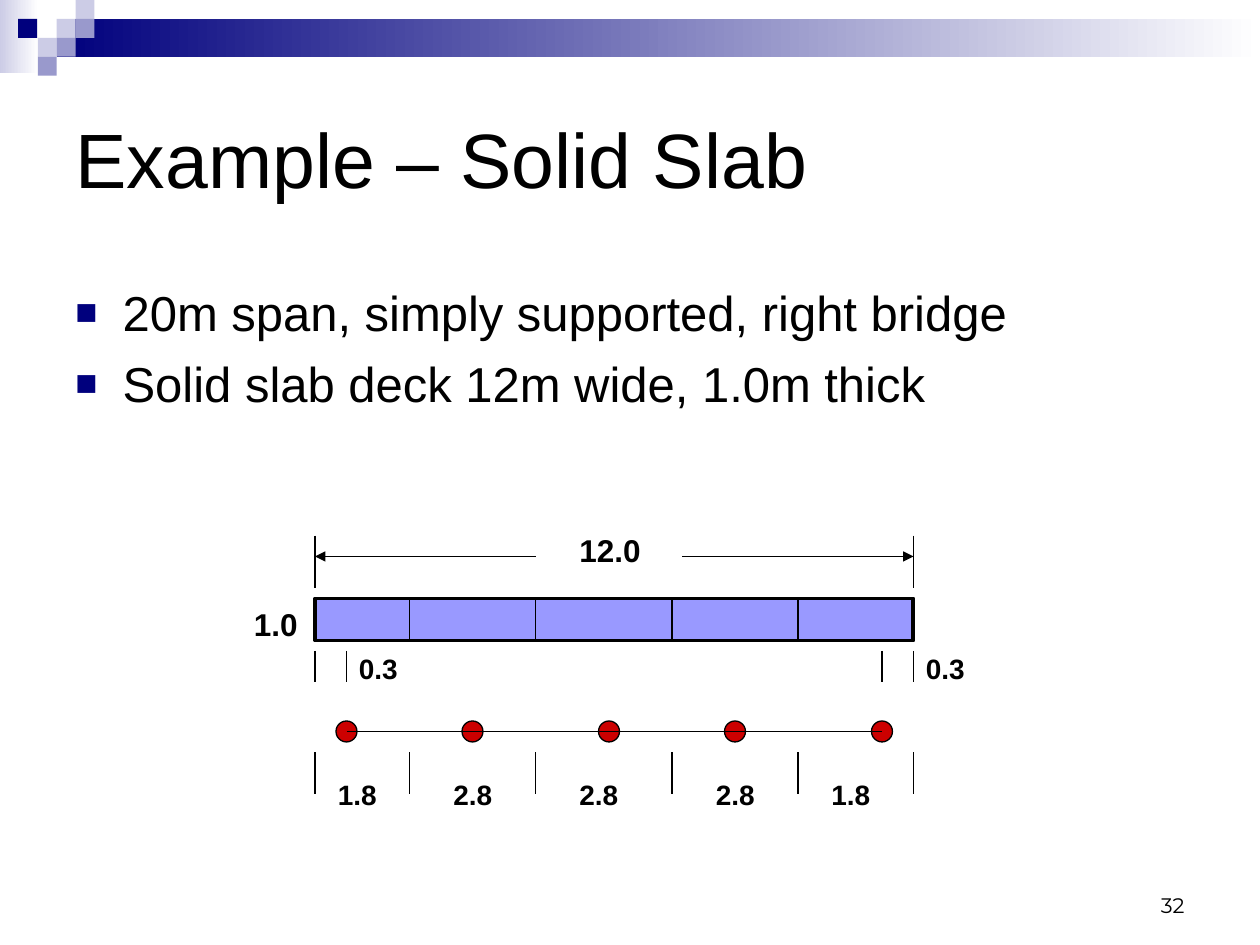
from pptx import Presentation
from pptx.dml.color import RGBColor
from pptx.enum.shapes import MSO_CONNECTOR, MSO_SHAPE
from pptx.enum.text import MSO_ANCHOR, PP_ALIGN
from pptx.oxml.ns import qn
from pptx.util import Pt

STRAIGHT = MSO_CONNECTOR.STRAIGHT
RECTANGLE, OVAL = MSO_SHAPE.RECTANGLE, MSO_SHAPE.OVAL
TOP, MIDDLE, BOTTOM = MSO_ANCHOR.TOP, MSO_ANCHOR.MIDDLE, MSO_ANCHOR.BOTTOM
LEFT, RIGHT = PP_ALIGN.LEFT, PP_ALIGN.RIGHT

BLACK, WHITE, NAVY = "000000", "FFFFFF", "00007D"
PALE, MID, SLAB, BEAM = "CCCCE6", "9999CC", "9999FF", "CC0000"

TITLE = {"name": "Arial", "size": Pt(44), "bold": False}
BODY = {"name": "Arial", "size": Pt(28), "bold": False}
LARGE_LABEL = {"name": "Arial", "size": Pt(18), "bold": True}
SMALL_LABEL = {"name": "Arial", "size": Pt(16), "bold": True}
NUMBER = {"name": "Montserrat", "size": Pt(12), "bold": False}

UNIT = 10.8
SQUARES = [(32.4, 1, PALE), (43.2, 0, PALE), (43.2, 1, MID), (21.6, 2, PALE),
           (10.4, 1, NAVY), (32.4, 2, MID), (21.6, 3, MID)]
STRIP_EDGES = [180, 234, 306, 384, 456, 522]
BEAM_CENTRES = [198, 270, 348, 420, 504]
STRIP_LABELS = [(186, "1.8"), (252, "2.8"), (324, "2.8"), (402, "2.8"), (468, "1.8")]
BEAM_SIZE = 12


def color(value):
    return RGBColor.from_string(value)


def add_shape(page, kind, area, fill, line_width=0):
    shape = page.shapes.add_shape(kind, *map(Pt, area))
    shape.shadow.inherit = False
    if isinstance(fill, tuple):
        shape.fill.gradient()
        shape.fill.gradient_angle = 0
        for stop, value in zip(shape.fill.gradient_stops, fill):
            stop.color.rgb = color(value)
    else:
        shape.fill.solid()
        shape.fill.fore_color.rgb = color(fill)
    if line_width:
        shape.line.color.rgb = color(BLACK)
        shape.line.width = Pt(line_width)
    else:
        shape.line.fill.background()


def add_line(page, start, end, arrow=False):
    line = page.shapes.add_connector(STRAIGHT, *map(Pt, start + end))
    line.line.color.rgb = color(BLACK)
    line.line.width = Pt(0.75)
    properties = line._element.spPr
    if arrow:
        outline = properties.find(qn("a:ln"))
        tail = outline.makeelement(qn("a:tailEnd"), {"type": "triangle"})
        outline.append(tail)
    properties.append(properties.makeelement(qn("a:effectLst"), {}))


def add_ticks(page, positions, top, bottom):
    for x in positions:
        add_line(page, (x, top), (x, bottom))


def write_text(box, lines, style, anchor=TOP, align=LEFT):
    frame = box.text_frame
    frame.word_wrap = True
    frame.vertical_anchor = anchor
    frame.text = "\n".join(lines)
    for para in frame.paragraphs:
        para.alignment = align
        for span in para.runs:
            span.font.color.rgb = color(BLACK)
            for name, value in style.items():
                setattr(span.font, name, value)
    return frame


def add_text(page, area, lines, style, **layout):
    box = page.shapes.add_textbox(*map(Pt, area))
    return write_text(box, lines, style, **layout)


def add_bullet(para):
    properties = para._p.get_or_add_pPr()
    properties.set("marL", str(Pt(27)))
    properties.set("indent", str(-Pt(27)))
    tint = properties.makeelement(qn("a:buClr"), {})
    tint.append(tint.makeelement(qn("a:srgbClr"), {"val": NAVY}))
    properties.append(tint)
    for tag, attributes in [("a:buSzPct", {"val": "75000"}),
                            ("a:buFont", {"typeface": "Arial"}),
                            ("a:buChar", {"char": "■"})]:
        properties.append(properties.makeelement(qn(tag), attributes))


def add_banner(page):
    add_shape(page, RECTANGLE, (0, 0, 22, 42), (PALE, WHITE))
    add_shape(page, RECTANGLE, (32.4, UNIT, 687.6, 2 * UNIT), (NAVY, WHITE))
    for x, row, fill in SQUARES:
        add_shape(page, RECTANGLE, (x, row * UNIT, UNIT, UNIT), fill)


def add_title(page, text):
    title = page.shapes.title
    area = {"left": 36, "top": 36, "width": 648, "height": 108}
    for name, value in area.items():
        setattr(title, name, Pt(value))
    write_text(title, [text], TITLE, anchor=MIDDLE)


def add_bullets(page, lines):
    frame = add_text(page, (36, 158, 648, 147), lines, BODY)
    for index, para in enumerate(frame.paragraphs):
        add_bullet(para)
        if index:
            para.space_before = Pt(7)


def add_slab(page):
    left, right = STRIP_EDGES[0], STRIP_EDGES[-1]
    add_shape(page, RECTANGLE, (left, 342, right - left, 24), SLAB, 2.25)
    add_ticks(page, (left, right), 306, 336)
    add_line(page, (306, 318), (left, 318), arrow=True)
    add_line(page, (390, 318), (right, 318), arrow=True)
    add_ticks(page, STRIP_EDGES[1:-1], 342, 366)
    add_text(page, (324, 300, 54, 29), ["12.0"], LARGE_LABEL)
    add_text(page, (138, 342, 42, 29), ["1.0"], LARGE_LABEL)


def add_beams(page):
    first, last = BEAM_CENTRES[0], BEAM_CENTRES[-1]
    add_ticks(page, (STRIP_EDGES[0], first, last, STRIP_EDGES[-1]), 372, 390)
    for x in BEAM_CENTRES:
        area = (x - BEAM_SIZE / 2, 412, BEAM_SIZE, BEAM_SIZE)
        add_shape(page, OVAL, area, BEAM, 0.75)
    add_line(page, (first, 418), (last, 418))
    add_ticks(page, STRIP_EDGES, 430, 454)
    for x in (first, STRIP_EDGES[-1]):
        add_text(page, (x, 369, 42, 27), ["0.3"], SMALL_LABEL)
    for x, text in STRIP_LABELS:
        add_text(page, (x, 441, 42, 27), [text], SMALL_LABEL)


def main():
    deck = Presentation()
    deck.slide_width, deck.slide_height = Pt(720), Pt(540)
    page = deck.slides.add_slide(deck.slide_layouts[5])
    add_banner(page)
    add_title(page, "Example – Solid Slab")
    add_bullets(page, ["20m span, simply supported, right bridge",
                       "Solid slab deck 12m wide, 1.0m thick"])
    add_slab(page)
    add_beams(page)
    add_text(page, (516, 492, 168, 36), ["32"], NUMBER, anchor=BOTTOM, align=RIGHT)
    deck.save("out.pptx")


if __name__ == "__main__":
    main()
